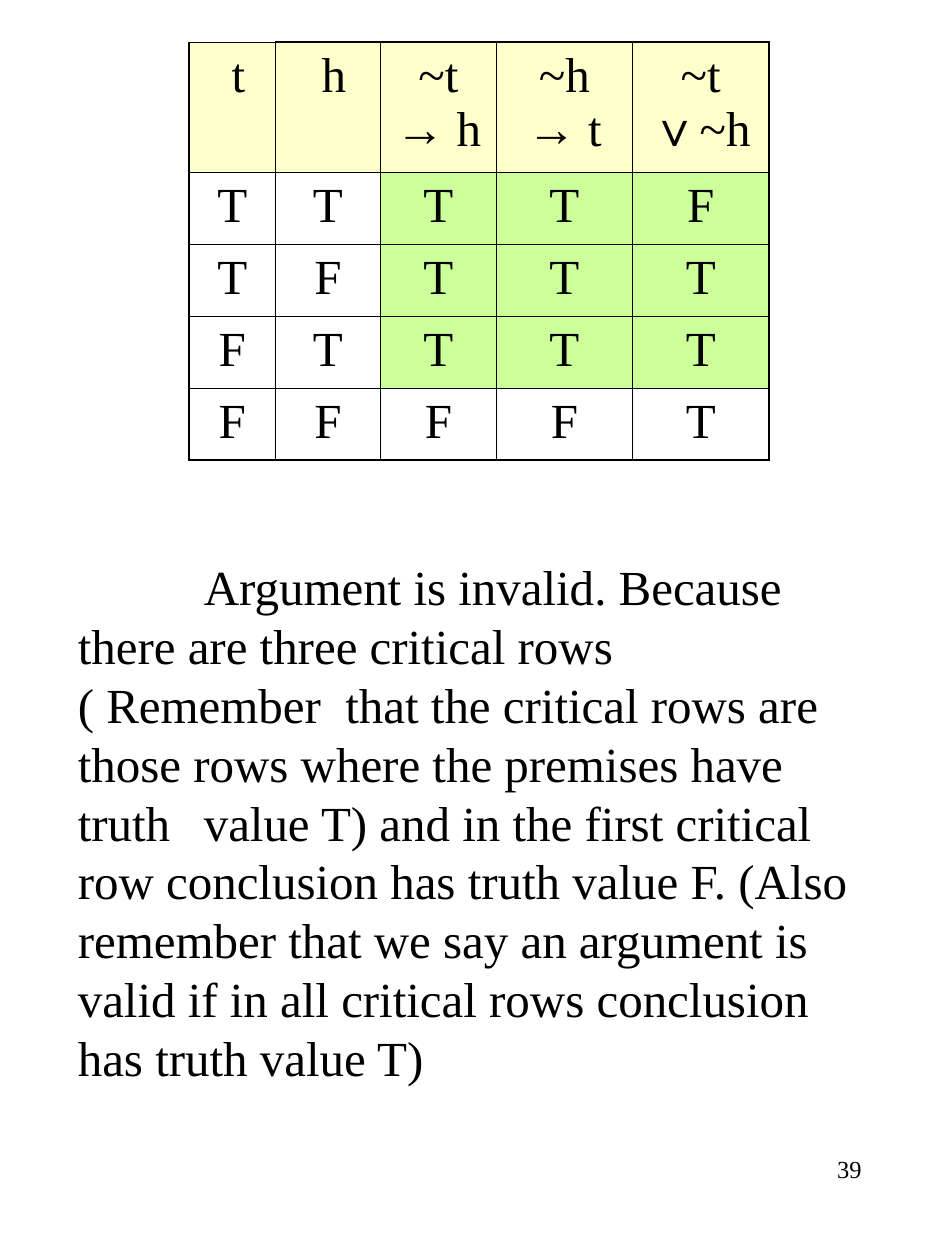
import pptx
import pptx.util
import pptx.dml.color
import pptx.enum.text
import pptx.oxml
import pptx.oxml.ns

Pt = pptx.util.Pt
RGB = pptx.dml.color.RGBColor
ALIGN = pptx.enum.text.PP_ALIGN
BLACK = RGB(0x00, 0x00, 0x00)
CREAM = RGB(0xFF, 0xFF, 0xCC)
GREEN = RGB(0xCC, 0xFF, 0x99)
SERIF = "Times New Roman"
SPACE = pptx.oxml.ns.nsdecls("a")
THIN, THICK = 0.45, 1.08


def style(para, size, align):
    para.font.name = SERIF
    para.font.size = Pt(size)
    para.font.color.rgb = BLACK
    para.alignment = align


def edge(cell, side, width):
    props = cell._tc.get_or_add_tcPr()
    props.append(pptx.oxml.parse_xml(
        f'<a:ln{side} {SPACE} w="{Pt(width)}">'
        f'<a:solidFill><a:srgbClr val="{BLACK}"/></a:solidFill></a:ln{side}>'))


deck = pptx.Presentation()
deck.slide_width = Pt(540)
deck.slide_height = Pt(720)
slide = deck.slides.add_slide(deck.slide_layouts[6])

page = slide.shapes.add_textbox(Pt(387.2), Pt(656), Pt(112.3), Pt(48.2)).text_frame
page.word_wrap = True
page.text = "39"
style(page.paragraphs[0], 14, ALIGN.RIGHT)

heads = [[" t"], [" h"], ["~t ", "→", " h"], ["~h ", "→", " t"], ["~t ", "∨", "~h"]]
truth = ["TTTTF", "TFTTT", "FTTTT", "FFFFT"]
rows = heads, *truth
wides = [49.4, 60, 66.3, 77.8, 78]
highs = [74.5] + [41.1] * len(truth)
table = slide.shapes.add_table(len(rows), len(wides), Pt(108), Pt(24),
                               Pt(sum(wides)), Pt(sum(highs))).table
table.first_row = False
table.horz_banding = False
for col, wide in zip(table.columns, wides):
    col.width = Pt(wide)
for row, high in zip(table.rows, highs):
    row.height = Pt(high)

end, foot = len(wides) - 1, len(rows) - 1
for r, line in enumerate(rows):
    for c, parts in enumerate(line):
        cell = table.cell(r, c)
        para = cell.text_frame.paragraphs[0]
        style(para, 28, ALIGN.CENTER)
        for part in parts:
            run = para.add_run()
            run.text = part
            if part in "→∨":
                run.font.name = "Arial"
        edge(cell, "L", THICK if c == 0 else THIN)
        edge(cell, "R", THICK if c == end else THIN)
        edge(cell, "T", THICK if r == 0 and c > 0 else THIN)
        edge(cell, "B", THICK if r == foot else THIN)
        if r == 0:
            cell.fill.solid()
            cell.fill.fore_color.rgb = CREAM
        elif c > 1 and r < foot:
            cell.fill.solid()
            cell.fill.fore_color.rgb = GREEN
        else:
            cell.fill.background()

proof = slide.shapes.add_textbox(Pt(37.4), Pt(314.6), Pt(462.2), Pt(310.3)).text_frame
proof.word_wrap = True
proof.text = (
    "\tArgument is invalid. Because there are three critical rows "
    "( Remember  that the critical rows are those rows where the premises "
    "have truth \tvalue T) and in the first critical row conclusion has truth "
    "value F. (Also remember that we say an argument is valid if in all "
    "critical rows conclusion has truth value T)")
para = proof.paragraphs[0]
style(para, 28, ALIGN.LEFT)
stops = "".join(f'<a:tab pos="{Pt(72 * n)}" algn="l"/>' for n in range(8))
props = para._p.get_or_add_pPr()
props.insert_element_before(
    pptx.oxml.parse_xml(f"<a:tabLst {SPACE}>{stops}</a:tabLst>"), "a:defRPr", "a:extLst")

deck.save("out.pptx")
